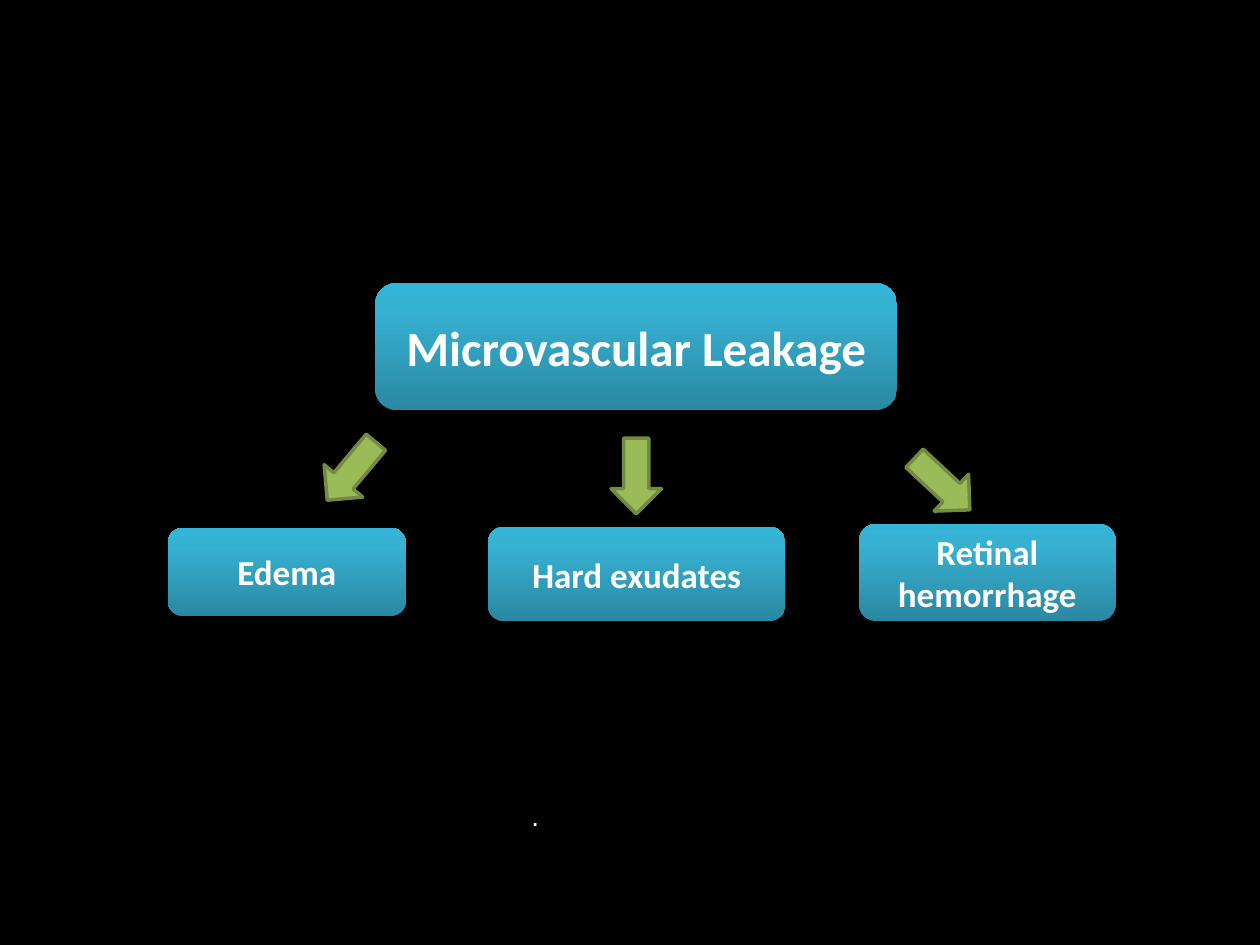
from copy import deepcopy
from typing import NamedTuple

from pptx import Presentation
from pptx.dml.color import RGBColor
from pptx.enum.shapes import MSO_SHAPE as Shape
from pptx.enum.text import MSO_ANCHOR as Anchor, PP_ALIGN as Align
from pptx.oxml.ns import qn
from pptx.slide import Slide
from pptx.util import Pt

COLORS = {
    "background": "000000",
    "text": "FFFFFF",
    "box_bottom": "2A88A2",
    "box_middle": "37B1D2",
    "box_top": "34B4D6",
    "arrow": "9BBB59",
    "arrow_line": "738A42",
}
BOX_STOPS = ((0, "box_bottom"), (0.8, "box_middle"), (1, "box_top"))
ARROW_WIDTH, ARROW_HEIGHT = 28.8, 43.2


class Box(NamedTuple):
    text: str
    left: float
    top: float
    width: float
    height: float
    size: int = 20


class Arrow(NamedTuple):
    left: float
    top: float
    rotation: int = 0


BOXES = (
    Box("Edema", 95.8, 301.7, 136.1, 50.4),
    Box("Retinal hemorrhage", 491, 299.5, 146.5, 55.4),
    Box("Hard exudates", 278.8, 301, 170, 54),
    Box("Microvascular Leakage", 214.4, 161.8, 298.2, 72.6, 28),
)
ARROWS = (Arrow(349.2, 250.4), Arrow(524, 255, 313), Arrow(186.5, 247.7, 40))


def color(name: str) -> RGBColor:
    """Return the named colour."""
    return RGBColor.from_string(COLORS[name])


def add_box(slide: Slide, box: Box) -> None:
    """Draw a rounded box with a vertical gradient and a bold centred label."""
    shape = slide.shapes.add_shape(
        Shape.ROUNDED_RECTANGLE, Pt(box.left), Pt(box.top), Pt(box.width), Pt(box.height)
    )
    shape.shadow.inherit = False
    shape.line.fill.background()
    shape.fill.gradient()
    shape.fill.gradient_angle = 90
    first_stop = shape.element.spPr.find(".//" + qn("a:gs"))
    first_stop.addnext(deepcopy(first_stop))
    for stop, (position, name) in zip(shape.fill.gradient_stops, BOX_STOPS):
        stop.position = position
        stop.color.rgb = color(name)
    text_frame = shape.text_frame
    text_frame.text = box.text
    text_frame.word_wrap = True
    text_frame.vertical_anchor = Anchor.MIDDLE
    paragraph = text_frame.paragraphs[0]
    paragraph.alignment = Align.CENTER
    font = paragraph.runs[0].font
    font.name, font.size, font.bold = "Calibri", Pt(box.size), True
    font.color.rgb = color("text")


def add_arrow(slide: Slide, arrow: Arrow) -> None:
    """Draw a block arrow turned by its rotation."""
    shape = slide.shapes.add_shape(
        Shape.DOWN_ARROW, Pt(arrow.left), Pt(arrow.top), Pt(ARROW_WIDTH), Pt(ARROW_HEIGHT)
    )
    shape.shadow.inherit = False
    shape.rotation = arrow.rotation
    shape.fill.solid()
    shape.fill.fore_color.rgb = color("arrow")
    shape.line.color.rgb = color("arrow_line")
    shape.line.width = Pt(2)


def add_footnote(slide: Slide) -> None:
    """Write the small text at the foot of the slide."""
    text_frame = slide.shapes.add_textbox(Pt(296.6), Pt(452.9), Pt(419.8), Pt(48.2)).text_frame
    text_frame.word_wrap = True
    text_frame.text = "."
    font = text_frame.paragraphs[0].runs[0].font
    font.name, font.size = "Arial", Pt(16)
    font.color.rgb = color("text")


def main() -> None:
    """Build and save the slide."""
    presentation = Presentation()
    presentation.slide_width, presentation.slide_height = Pt(720), Pt(540)
    slide = presentation.slides.add_slide(presentation.slide_layouts[6])
    slide.background.fill.solid()
    slide.background.fill.fore_color.rgb = color("background")
    for box in BOXES:
        add_box(slide, box)
    for arrow in ARROWS:
        add_arrow(slide, arrow)
    add_footnote(slide)
    presentation.save("out.pptx")


if __name__ == "__main__":
    main()
